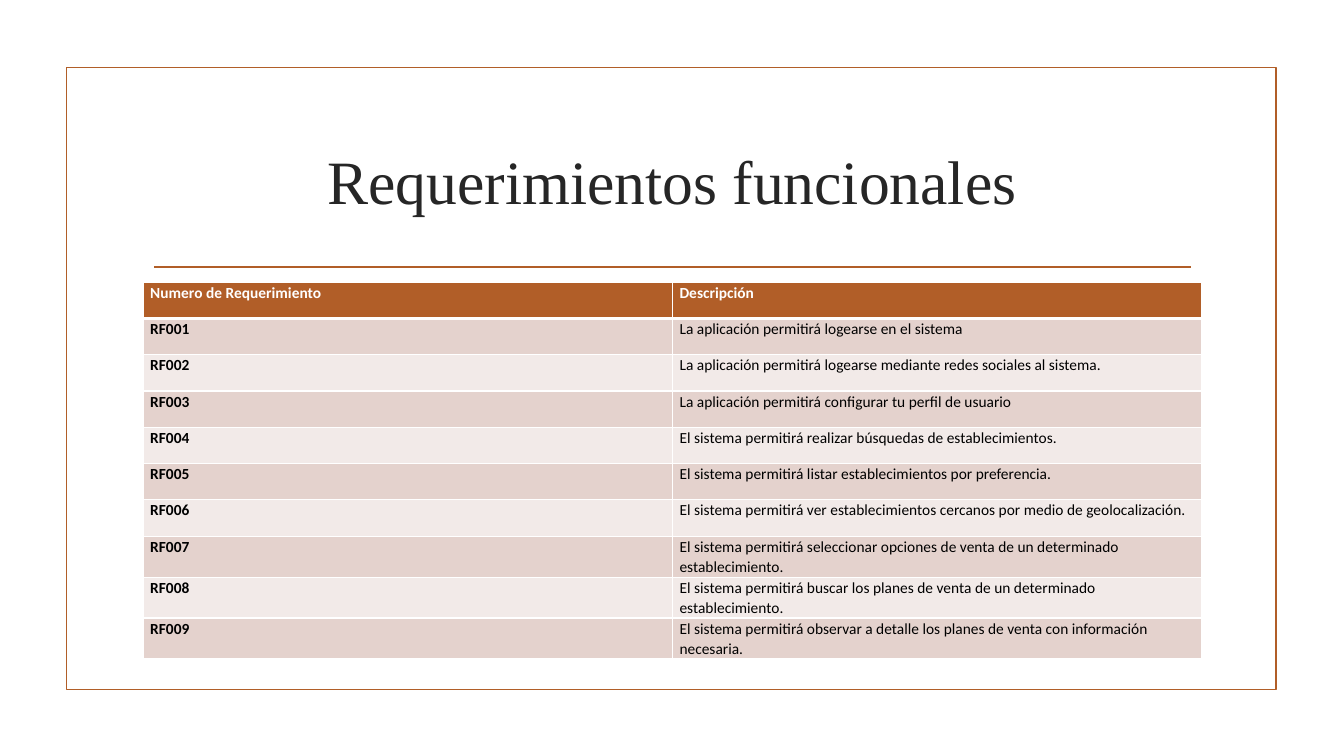
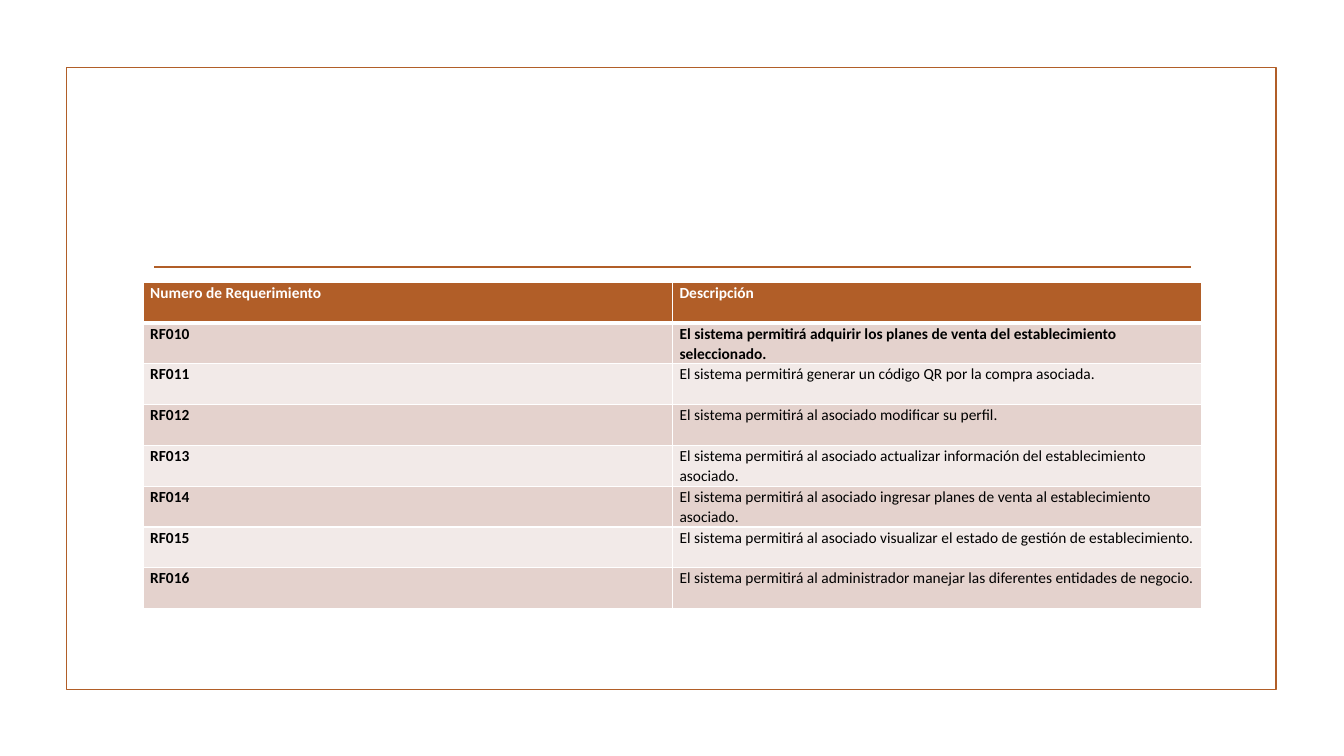
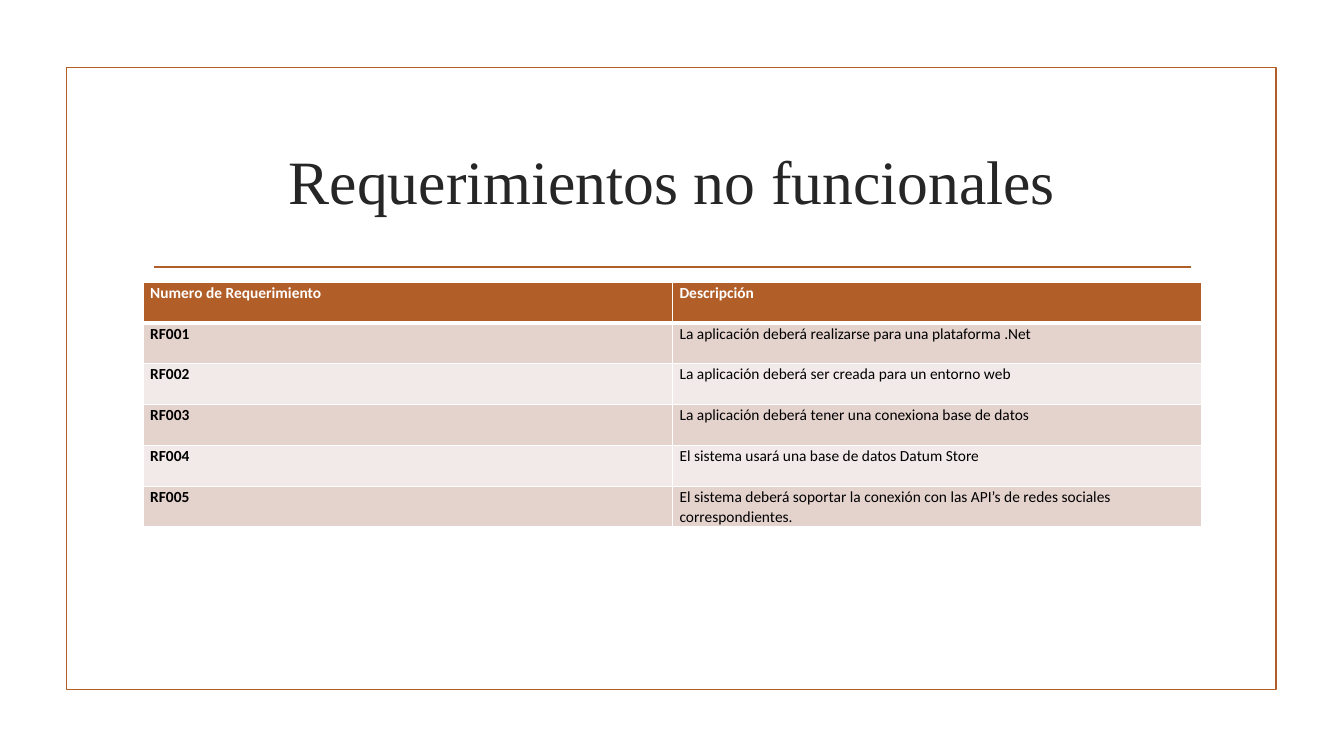
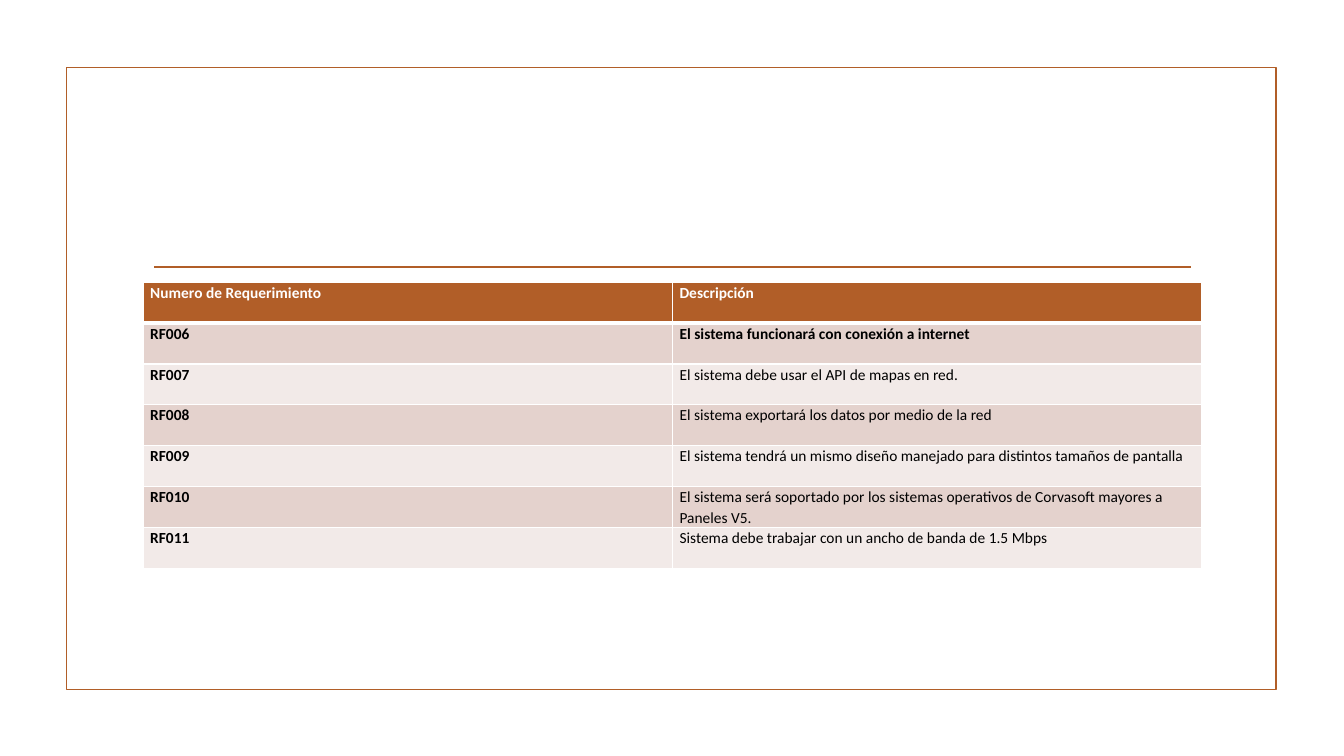
from dataclasses import dataclass

from lxml import etree
from pptx import Presentation
from pptx.dml.color import RGBColor
from pptx.enum.shapes import MSO_CONNECTOR, MSO_SHAPE
from pptx.enum.text import MSO_ANCHOR, PP_ALIGN
from pptx.oxml.ns import qn
from pptx.util import Inches, Pt

RECTANGLE = MSO_SHAPE.RECTANGLE
STRAIGHT = MSO_CONNECTOR.STRAIGHT
MIDDLE = MSO_ANCHOR.MIDDLE
CENTER = PP_ALIGN.CENTER


@dataclass(frozen=True)
class Theme:
    accent: str = "B15E28"
    title_color: str = "262626"
    body_color: str = "000000"
    white: str = "FFFFFF"
    bands: tuple = ("E4D2CD", "F2EAE8")
    title_font: str = "Times New Roman"
    body_font: str = "Calibri"
    title_size: int = 44
    body_size: int = 11
    line_width: float = 1.25
    border: int = 1
    header_border: int = 3
    line_spacing: float = 1.07
    left: float = 1.42
    width: float = 10.5


THEME = Theme()
HEADERS = ("Numero de Requerimiento", "Descripción")

FUNCTIONAL_FIRST = (
    "La aplicación permitirá logearse en el sistema",
    "La aplicación permitirá logearse mediante redes sociales al sistema.",
    "La aplicación permitirá configurar tu perfil de usuario",
    "El sistema permitirá realizar búsquedas de establecimientos.",
    "El sistema permitirá listar establecimientos por preferencia.",
    "El sistema permitirá ver establecimientos cercanos por medio de geolocalización.",
    "El sistema permitirá seleccionar opciones de venta de un determinado establecimiento.",
    "El sistema permitirá buscar los planes de venta de un determinado establecimiento.",
    "El sistema permitirá observar a detalle los planes de venta con información necesaria.",
)
FUNCTIONAL_REST = (
    "El sistema permitirá adquirir los planes de venta del establecimiento seleccionado.",
    "El sistema permitirá generar un código QR por la compra asociada.",
    "El sistema permitirá al asociado modificar su perfil.",
    "El sistema permitirá al asociado actualizar información del establecimiento asociado.",
    "El sistema permitirá al asociado ingresar planes de venta al establecimiento asociado.",
    "El sistema permitirá al asociado visualizar el estado de gestión de establecimiento.",
    "El sistema permitirá al administrador manejar las diferentes entidades de negocio.",
)
QUALITY_FIRST = (
    "La aplicación deberá realizarse para una plataforma .Net",
    "La aplicación deberá ser creada para un entorno web",
    "La aplicación deberá tener una conexiona base de datos",
    "El sistema usará una base de datos Datum Store",
    "El sistema deberá soportar la conexión con las API’s de redes sociales correspondientes.",
)
QUALITY_REST = (
    "El sistema funcionará con conexión a internet",
    "El sistema debe usar el API de mapas en red.",
    "El sistema exportará los datos por medio de la red",
    "El sistema tendrá un mismo diseño manejado para distintos tamaños de pantalla",
    "El sistema será soportado por los sistemas operativos de Corvasoft mayores a Paneles V5.",
    "Sistema debe trabajar con un ancho de banda de 1.5 Mbps",
)


def rgb(color):
    return RGBColor.from_string(color)


def add_text(para, text, font, size, color, bold=False):
    span = para.add_run()
    span.text = text
    span.font.name = font
    span.font.size = Pt(size)
    span.font.color.rgb = rgb(color)
    span.font.bold = bold


def set_line(line):
    line.color.rgb = rgb(THEME.accent)
    line.width = Pt(THEME.line_width)


def add_frame(page):
    frame = page.shapes.add_shape(
        RECTANGLE, Inches(0.66), Inches(0.67), Inches(12), Inches(6.17))
    frame.shadow.inherit = False
    frame.fill.background()
    set_line(frame.line)
    rule = page.shapes.add_connector(
        STRAIGHT, Inches(1.53), Inches(2.65), Inches(11.81), Inches(2.65))
    set_line(rule.line)
    etree.SubElement(rule._element.spPr, qn("a:effectLst"))


def add_title(page, text):
    box = page.shapes.add_textbox(
        Inches(THEME.left), Inches(1.07), Inches(THEME.width), Inches(1.43))
    box.text_frame.word_wrap = True
    box.text_frame.vertical_anchor = MIDDLE
    para = box.text_frame.paragraphs[0]
    para.alignment = CENTER
    add_text(para, text, THEME.title_font, THEME.title_size, THEME.title_color)


def set_borders(cell, top, bottom):
    properties = cell._tc.get_or_add_tcPr()
    widths = {"lnL": THEME.border, "lnR": THEME.border, "lnT": top, "lnB": bottom}
    for side, width in widths.items():
        line = etree.SubElement(properties, qn(f"a:{side}"), w=str(Pt(width)))
        fill = etree.SubElement(line, qn("a:solidFill"))
        etree.SubElement(fill, qn("a:srgbClr"), val=THEME.white)


def fill_cell(cell, text, fill, color, bold, top, bottom):
    set_borders(cell, top, bottom)
    cell.fill.solid()
    cell.fill.fore_color.rgb = rgb(fill)
    cell.margin_left = cell.margin_right = Inches(0.07)
    cell.margin_top = cell.margin_bottom = 0
    para = cell.text_frame.paragraphs[0]
    para.line_spacing = THEME.line_spacing
    add_text(para, text, THEME.body_font, THEME.body_size, color, bold)


def add_requirements(page, first_number, descriptions, height, short_rows=0, bold_first=False):
    count = len(descriptions) + 1
    short_height = 0.36
    tall_height = (height - short_rows * short_height) / (count - short_rows)
    table = page.shapes.add_table(
        count, len(HEADERS), Inches(THEME.left), Inches(2.8),
        Inches(THEME.width), Inches(height)).table
    table.first_row = table.horz_banding = False
    for index, row in enumerate(table.rows):
        row.height = Inches(short_height if index < short_rows else tall_height)
    for cell, text in zip(table.rows[0].cells, HEADERS):
        fill_cell(cell, text, THEME.accent, THEME.white, True,
                  THEME.border, THEME.header_border)
    for index, description in enumerate(descriptions):
        code = f"RF{first_number + index:03d}"
        band = THEME.bands[index % len(THEME.bands)]
        top = THEME.border if index else THEME.header_border
        bold_text = bold_first and index == 0
        cells = table.rows[index + 1].cells
        for cell, text, bold in zip(cells, (code, description), (True, bold_text)):
            fill_cell(cell, text, band, THEME.body_color, bold, top, THEME.border)


def add_page(deck, title=None):
    page = deck.slides.add_slide(deck.slide_layouts[6])
    add_frame(page)
    if title:
        add_title(page, title)
    return page


def main():
    deck = Presentation()
    deck.slide_width = Inches(13.33)
    deck.slide_height = Inches(7.5)
    add_requirements(add_page(deck, "Requerimientos funcionales"),
                     1, FUNCTIONAL_FIRST, 3.74, short_rows=7)
    add_requirements(add_page(deck), 10, FUNCTIONAL_REST, 3.24, bold_first=True)
    add_requirements(add_page(deck, "Requerimientos no funcionales"),
                     1, QUALITY_FIRST, 2.43)
    add_requirements(add_page(deck), 6, QUALITY_REST, 2.84, bold_first=True)
    deck.save("out.pptx")


if __name__ == "__main__":
    main()
